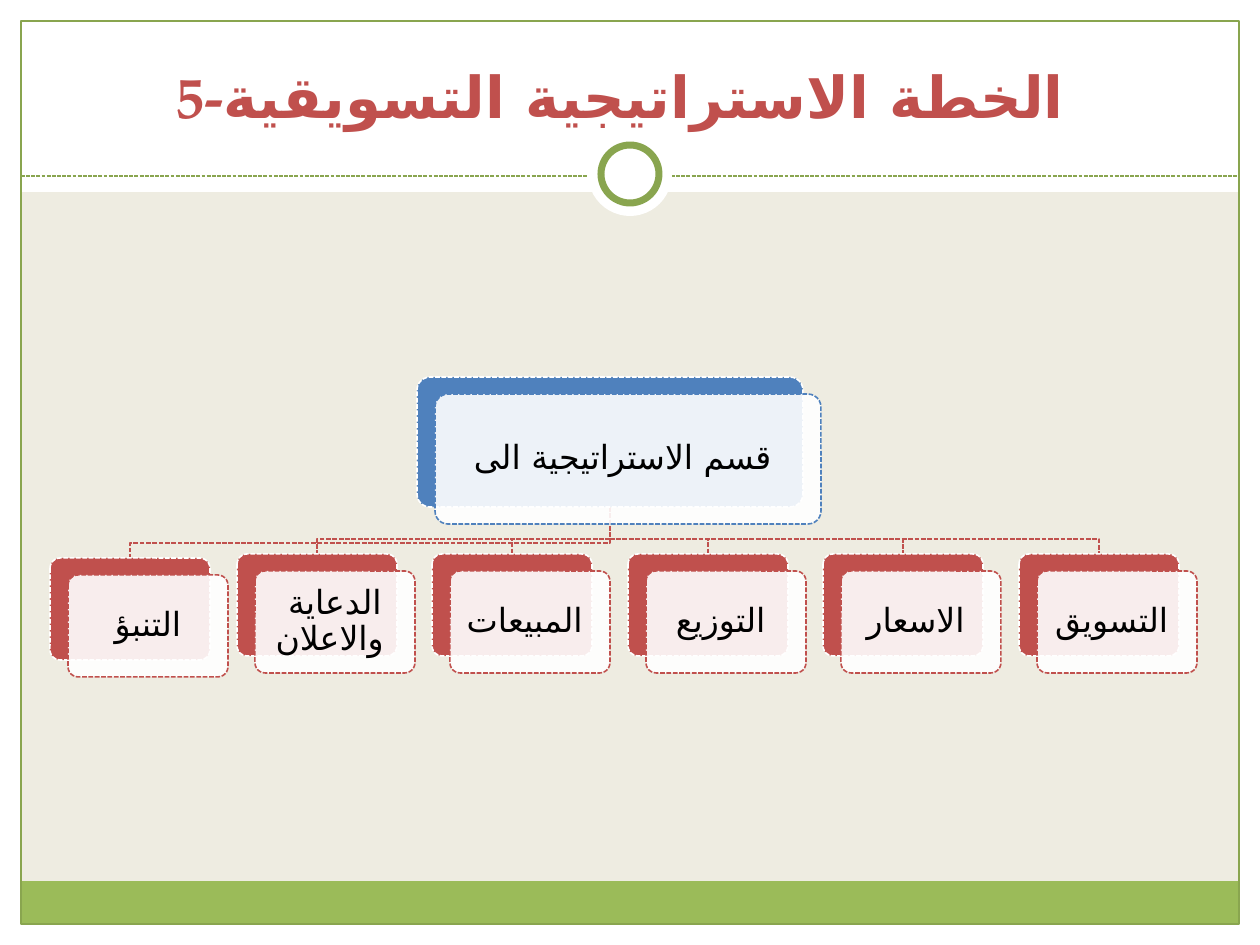
from lxml.etree import SubElement
from pptx import Presentation
from pptx.dml.color import RGBColor
from pptx.enum.dml import MSO_LINE
from pptx.enum.shapes import MSO_CONNECTOR, MSO_SHAPE
from pptx.enum.text import MSO_ANCHOR, MSO_AUTO_SIZE, PP_ALIGN
from pptx.oxml.ns import qn
from pptx.util import Pt

SCALE = 914400 / 126
FONT = "TeX Gyre Pagella"
ARABIC_FONT = "DejaVu Sans"
WHITE, BLACK = "FFFFFF", "000000"
BLUE, RED, GREEN, OLIVE, CREAM = "4F81BD", "C0504D", "9BBB59", "89A54F", "EEECE1"


def px(length):
    return round(length * SCALE)


def color(value):
    return RGBColor.from_string(value)


def style_line(line, value, width, dash=None):
    line.color.rgb = color(value)
    line.width = Pt(width)
    if dash:
        line.dash_style = dash


def add_box(slide, kind, box, fill=None, line=None, width=0.75, dash=None):
    shape = slide.shapes.add_shape(kind, *map(px, box))
    shape.shadow.inherit = False
    if fill:
        shape.fill.solid()
        shape.fill.fore_color.rgb = color(fill)
    else:
        shape.fill.background()
    if line:
        style_line(shape.line, line, width, dash)
    else:
        shape.line.fill.background()
    return shape


def write_text(shape, text, size, value, anchor, margin, bold=False):
    text_frame = shape.text_frame
    text_frame.text = text
    text_frame.word_wrap = True
    text_frame.auto_size = MSO_AUTO_SIZE.NONE
    text_frame.vertical_anchor = anchor
    text_frame.margin_left = text_frame.margin_right = px(margin)
    text_frame.margin_top = text_frame.margin_bottom = px(margin)
    paragraph = text_frame.paragraphs[0]
    paragraph.alignment = PP_ALIGN.CENTER
    run = paragraph.runs[0]
    run.font.size = Pt(size)
    run.font.bold = bold
    run.font.color.rgb = color(value)
    run.font.name = FONT
    SubElement(run.font._element, qn("a:cs"), typeface=ARABIC_FONT)
    return paragraph


def add_frame(slide, box):
    left, top, width, height = box
    right, bottom = left + width, top + height
    center = left + width // 2
    rectangle, ellipse = MSO_SHAPE.RECTANGLE, MSO_SHAPE.OVAL
    margin, header, rule_top = 21, 192, 176
    for band in (
        (left, bottom - margin, width, margin),
        (left, top, width, header),
        (left, top, margin, height),
        (right - margin, top, margin, height),
    ):
        add_box(slide, rectangle, band, WHITE)
    inner_width = width - 2 * margin
    add_box(slide, rectangle, (left + margin, bottom - 64, inner_width, 43), GREEN)
    add_box(slide, rectangle, (left + margin, top + margin, inner_width, height - 2 * margin), line=OLIVE)
    rule = slide.shapes.add_connector(
        MSO_CONNECTOR.STRAIGHT,
        px(left + margin), px(top + rule_top), px(right - margin), px(top + rule_top),
    )
    style_line(rule.line, OLIVE, 0.75, MSO_LINE.SQUARE_DOT)
    SubElement(rule._element.spPr, qn("a:effectLst"))
    add_box(slide, ellipse, (center - 42, top + 132, 84, 84), WHITE)
    add_box(slide, ellipse, (center - 29, top + 145, 58, 58), WHITE, OLIVE, 4)


def add_title(slide, box):
    title = slide.shapes.title
    title.left, title.top, title.width, title.height = map(px, box)
    title._element.getparent().append(title._element)
    write_text(title, "5-الخطة الاستراتيجية التسويقية ", 33, RED, MSO_ANCHOR.BOTTOM, 6, True)


def add_node(slide, box, text, accent):
    left, top, width, height = box
    dash = MSO_LINE.SQUARE_DOT
    rounded = MSO_SHAPE.ROUNDED_RECTANGLE
    back = add_box(slide, rounded, box, accent, WHITE, 0.9, dash)
    front = add_box(slide, rounded, (left + 18, top + 17, width, height), WHITE, accent, 0.9, dash)
    back.adjustments[0] = front.adjustments[0] = 0.1
    fill_color = front.fill._xPr.find(qn("a:solidFill"))[0]
    SubElement(fill_color, qn("a:alpha"), val="90000")
    paragraph = write_text(front, text, 19, BLACK, MSO_ANCHOR.MIDDLE, 13)
    paragraph.line_spacing = 0.9


def add_branch(slide, parent, child):
    start_left, start_top = parent[0] + parent[2] // 2, parent[1] + parent[3]
    end_left, end_top = child[0] + child[2] // 2, child[1]
    bend = end_top - 15
    builder = slide.shapes.build_freeform(start_left, start_top, SCALE)
    builder.add_line_segments([(start_left, bend), (end_left, bend), (end_left, end_top)], close=False)
    branch = builder.convert_to_shape()
    branch.shadow.inherit = False
    branch.fill.background()
    style_line(branch.line, RED, 0.9, MSO_LINE.SQUARE_DOT)


def add_hierarchy(slide, box):
    left, top, width, height = box
    root = (left + 367, top, 386, 130)
    labels = ["التنبؤ", "الدعاية والاعلان ", "المبيعات ", "التوزيع ", "الاسعار ", "التسويق "]
    children = [(left, top + 181, 160, 102)]
    children += [(left + 187 + 782 * index // 4, top + 177, 160, 102) for index in range(5)]
    for child in reversed(children):
        add_branch(slide, root, child)
    add_node(slide, root, "قسم الاستراتيجية الى ", BLUE)
    for child, label in zip(children, labels):
        add_node(slide, child, label, RED)


def main():
    presentation = Presentation()
    presentation.slide_width, presentation.slide_height = px(1260), px(945)
    slide = presentation.slides.add_slide(presentation.slide_layouts[5])
    slide.background.fill.solid()
    slide.background.fill.fore_color.rgb = color(CREAM)
    add_frame(slide, (0, 0, 1260, 945))
    add_title(slide, (42, 32, 1176, 104))
    add_hierarchy(slide, (50, 377, 1147, 300))
    presentation.save("out.pptx")


if __name__ == "__main__":
    main()
